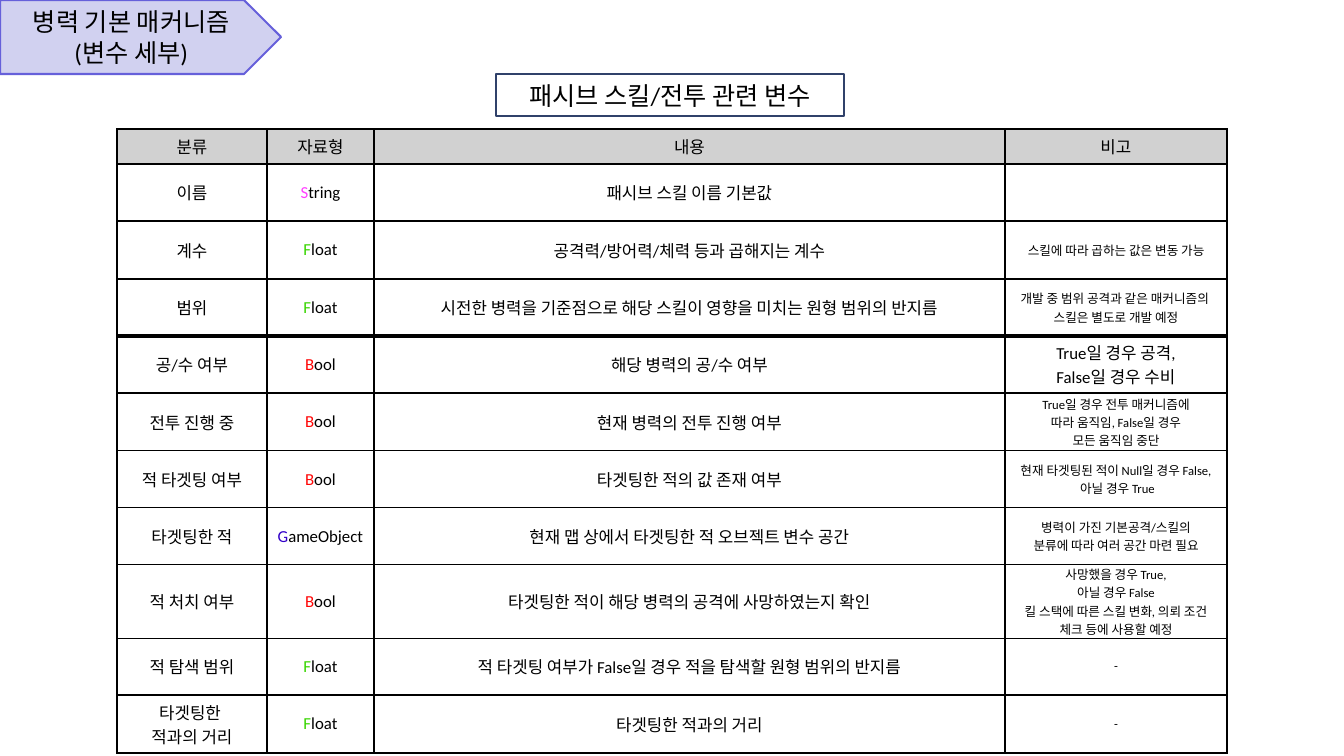
from lxml.etree import SubElement
from pptx import Presentation
from pptx.dml.color import RGBColor
from pptx.enum.shapes import MSO_SHAPE
from pptx.enum.text import MSO_ANCHOR, PP_ALIGN
from pptx.oxml.ns import qn
from pptx.util import Pt

BLACK = RGBColor(0x00, 0x00, 0x00)
WHITE = RGBColor(0xFF, 0xFF, 0xFF)
GRAY = RGBColor(0xD1, 0xD1, 0xD1)
LILAC = RGBColor(0xD1, 0xD1, 0xF0)
VIOLET = RGBColor(0x66, 0x60, 0xDA)
NAVY = RGBColor(0x30, 0x41, 0x6A)
TYPES = {
    "String": RGBColor(0xFF, 0x40, 0xFF),
    "Float": RGBColor(0x38, 0xD5, 0x00),
    "Bool": RGBColor(0xFF, 0x04, 0x04),
    "GameObject": RGBColor(0x32, 0x00, 0xC8),
}

TAG = "병력 기본 매커니즘\n(변수 세부)"
TITLE = "패시브 스킬/전투 관련 변수"
HEAD = ("분류", "자료형", "내용", "비고")
# name, type, content, note, note size
VARS = [
    ("이름", "String", "패시브 스킬 이름 기본값", "", 9),
    ("계수", "Float", "공격력/방어력/체력 등과 곱해지는 계수",
     "스킬에 따라 곱하는 값은 변동 가능", 9),
    ("범위", "Float",
     "시전한 병력을 기준점으로 해당 스킬이 영향을 미치는 원형 범위의 반지름",
     "개발 중 범위 공격과 같은 매커니즘의 \n스킬은 별도로 개발 예정", 9),
    ("공/수 여부", "Bool", "해당 병력의 공/수 여부",
     "True일 경우 공격,\nFalse일 경우 수비", 12),
    ("전투 진행 중", "Bool", "현재 병력의 전투 진행 여부",
     "True일 경우 전투 매커니즘에\n따라 움직임, False일 경우\n모든 움직임 중단", 9),
    ("적 타겟팅 여부", "Bool", "타겟팅한 적의 값 존재 여부",
     "현재 타겟팅된 적이 Null일 경우 False,\n 아닐 경우 True", 9),
    ("타겟팅한 적", "GameObject", "현재 맵 상에서 타겟팅한 적 오브젝트 변수 공간",
     "병력이 가진 기본공격/스킬의\n분류에 따라 여러 공간 마련 필요", 9),
    ("적 처치 여부", "Bool", "타겟팅한 적이 해당 병력의 공격에 사망하였는지 확인",
     "사망했을 경우 True,\n아닐 경우 False\n킬 스택에 따른 스킬 변화, 의뢰 조건\n체크 등에 사용할 예정", 9),
    ("적 탐색 범위", "Float",
     "적 타겟팅 여부가 False일 경우 적을 탐색할 원형 범위의 반지름", "-", 9),
    ("타겟팅한 \n적과의 거리", "Float", "타겟팅한 적과의 거리", "-", 9),
]
COLS = (150, 107, 631, 222)
ROWS = (35, 57, 58, 57, 57, 58, 57, 57, 67, 57, 58)
THICK = 3  # the heavy rule lies under this row

SCALE = 914400 / 100.8
FLUSH = dict.fromkeys(
    ("margin_left", "margin_top", "margin_right", "margin_bottom"), 0)


def px(n):
    return round(n * SCALE)


def assign(item, values):
    for key, value in values.items():
        setattr(item, key, value)


def write(frame, text, size, tint=None):
    """Fill a frame with centred lines; tint colours the first letter."""
    for i, line in enumerate(text.split("\n")):
        para = frame.add_paragraph() if i else frame.paragraphs[0]
        para.alignment = PP_ALIGN.CENTER
        parts = [(line[:1], tint), (line[1:], BLACK)] if tint else [(line, BLACK)]
        for part, color in parts:
            if part:
                run = para.add_run()
                run.text = part
                assign(run.font, {"size": Pt(size), "name": "Calibri"})
                run.font.color.rgb = color


def label(kind, box, text, fill, line, margins):
    shape = slide.shapes.add_shape(kind, *map(px, box))
    shape.shadow.inherit = False
    if fill is None:
        shape.fill.background()
    else:
        shape.fill.solid()
        shape.fill.fore_color.rgb = fill
    shape.line.color.rgb = line
    shape.line.width = Pt(1.5)
    frame = shape.text_frame
    assign(frame, {"word_wrap": True, "vertical_anchor": MSO_ANCHOR.MIDDLE,
                   **margins})
    write(frame, text, 18)


def border(cell, row):
    props = cell._tc.get_or_add_tcPr()
    wide = {"T": row == THICK + 1, "B": row == THICK}
    for side in "LRTB":
        width = Pt(3 if wide.get(side) else 1)
        edge = SubElement(props, qn("a:ln" + side), w=str(width))
        SubElement(SubElement(edge, qn("a:solidFill")),
                   qn("a:srgbClr"), val=str(BLACK))


deck = Presentation()
assign(deck, {"slide_width": px(1344), "slide_height": px(756)})
slide = deck.slides.add_slide(deck.slide_layouts[6])

label(MSO_SHAPE.PENTAGON, (0, 0, 281, 74), TAG, LILAC, VIOLET, {})

table = slide.shapes.add_table(
    len(ROWS), len(COLS), px(117), px(129), px(sum(COLS)), px(sum(ROWS))).table
assign(table, {"first_row": False, "horz_banding": False})
for col, width in zip(table.columns, COLS):
    col.width = px(width)
for row, height in zip(table.rows, ROWS):
    row.height = px(height)

for r, (*texts, small) in enumerate([(*HEAD, 12), *VARS]):
    for c, text in enumerate(texts):
        cell = table.cell(r, c)
        assign(cell, {"vertical_anchor": MSO_ANCHOR.MIDDLE, **FLUSH})
        border(cell, r)
        cell.fill.solid()
        cell.fill.fore_color.rgb = WHITE if r else GRAY
        write(cell.text_frame, text, small if c == 3 else 12, TYPES.get(text))

label(MSO_SHAPE.RECTANGLE, (496, 74, 348, 42), TITLE, None, NAVY, FLUSH)

deck.save("out.pptx")
